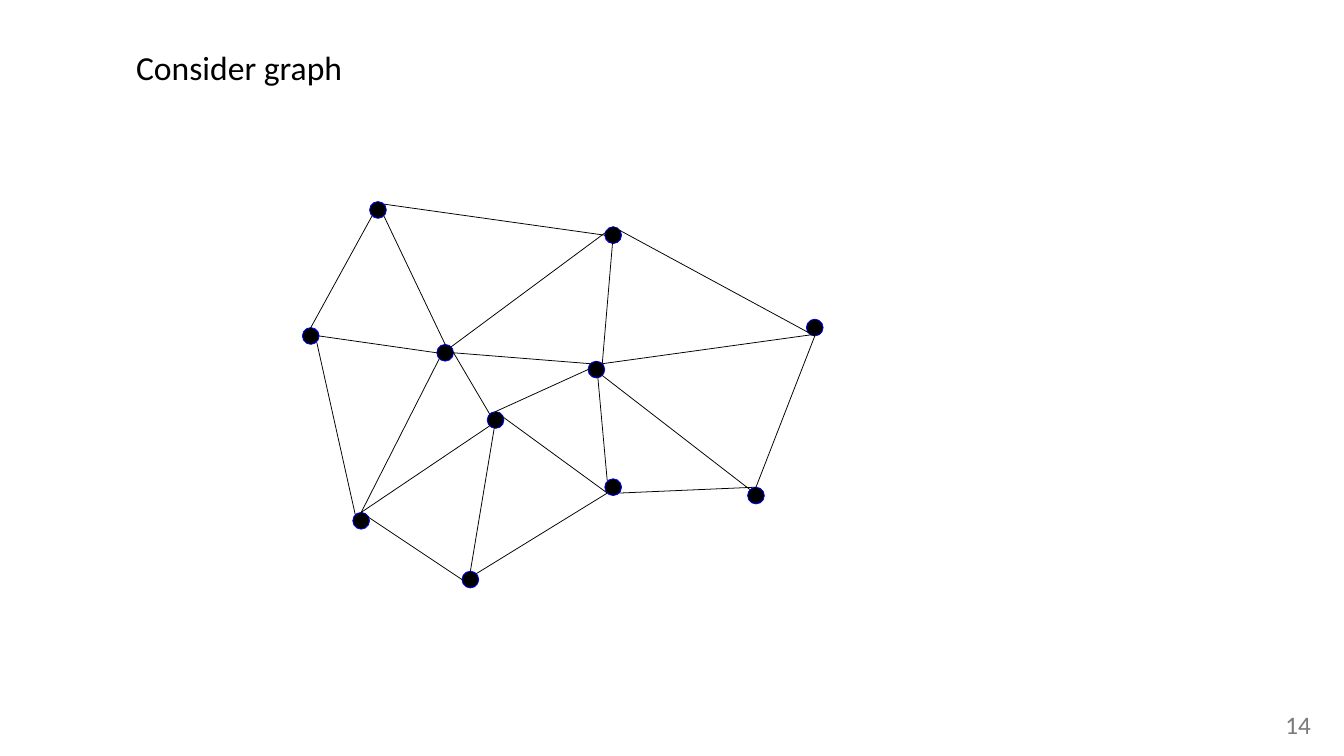
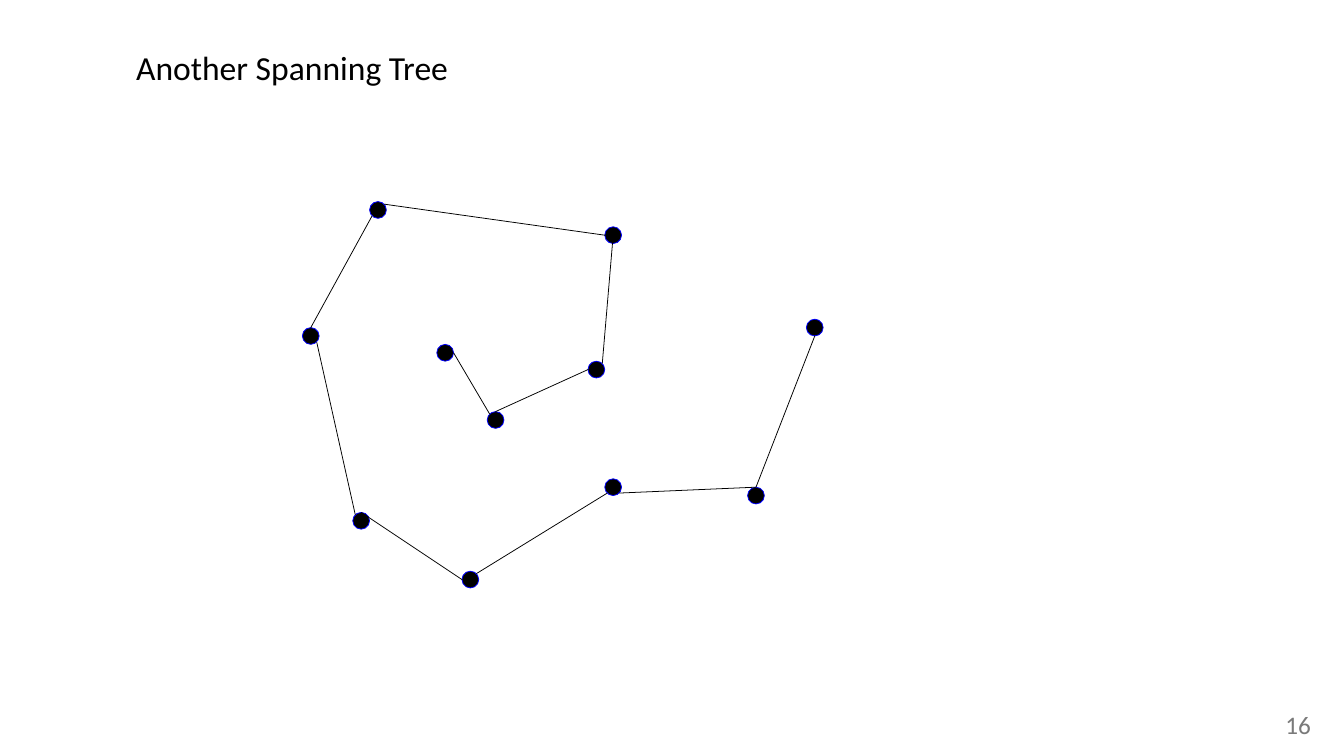
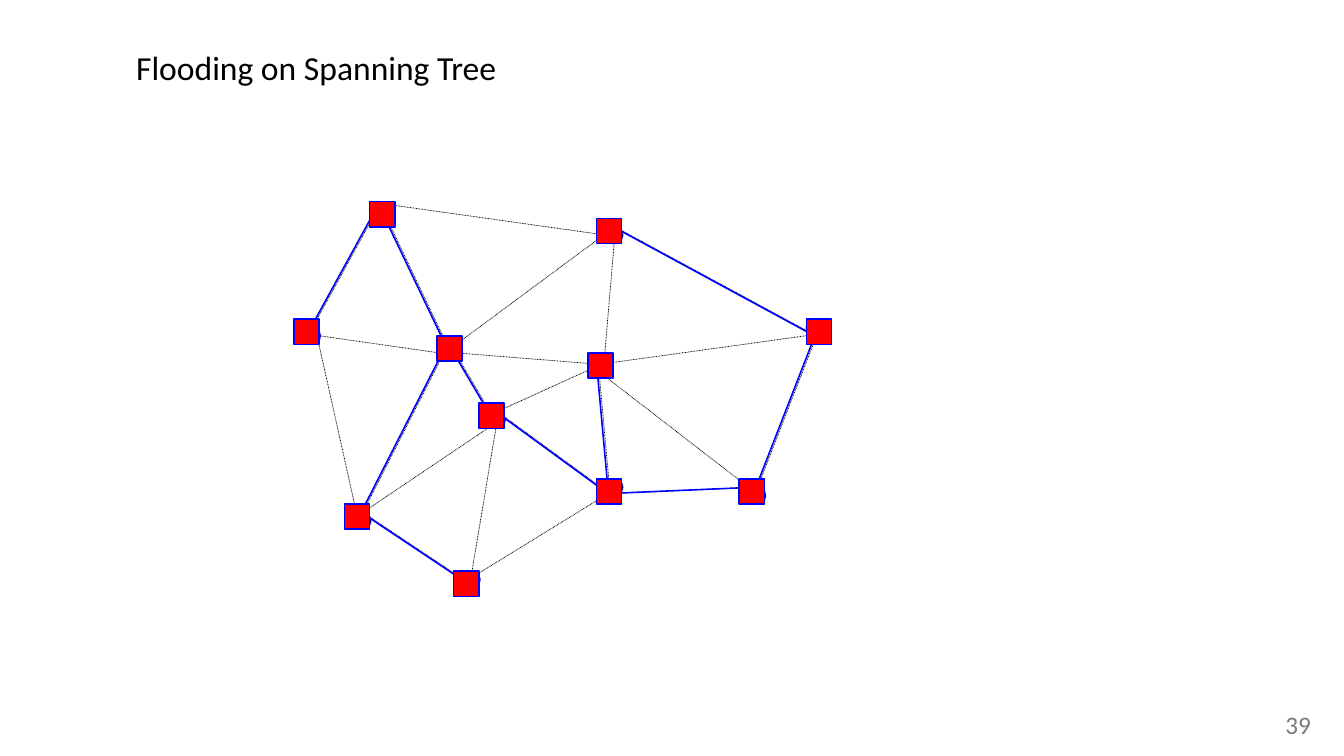
from lxml import etree
from pptx import Presentation
from pptx.dml.color import RGBColor
from pptx.enum.dml import MSO_LINE
from pptx.enum.shapes import MSO_CONNECTOR, MSO_SHAPE
from pptx.enum.text import MSO_ANCHOR, MSO_AUTO_SIZE, PP_ALIGN
from pptx.oxml.ns import qn
from pptx.util import Emu, Pt

PX = 10160  # EMU per px, 90 px to the inch
SLIDE_BOX = (0, 0, 1600, 900)
TITLE_BOX = (157, 0, 1288, 160)
PAGE_NUMBER_BOX = (1525, 845, 41, 45)
GRAPH_ORIGIN = (360, 240)
DOTTED_ORIGIN = (362, 240)

BLACK = RGBColor(0x00, 0x00, 0x00)
BLUE = RGBColor(0x00, 0x00, 0xFF)
RED = RGBColor(0xFF, 0x00, 0x00)
GRAY = RGBColor(0x7A, 0x7A, 0x7A)
FONT = "Calibri"
THIN, THICK = 0.75, 1.5

OVAL, SQUARE = MSO_SHAPE.OVAL, MSO_SHAPE.RECTANGLE
STRAIGHT = MSO_CONNECTOR.STRAIGHT
DOTTED = MSO_LINE.ROUND_DOT
MIDDLE = MSO_ANCHOR.MIDDLE
NO_AUTOFIT = MSO_AUTO_SIZE.NONE
LEFT_ALIGN, CENTER_ALIGN = PP_ALIGN.LEFT, PP_ALIGN.CENTER

# Graph nodes: top left corner relative to the graph's origin
NODE_SIZE = 20
NODES = {
    "A": (80, 0), "B": (0, 150), "C": (360, 30), "D": (360, 330),
    "E": (190, 440), "F": (160, 170), "G": (600, 140), "H": (220, 250),
    "I": (60, 370), "J": (340, 190), "K": (530, 340),
}

# Points of a node where edges end, relative to its corner
CENTER = (10, 10)
TOP, LEFT, BOTTOM, RIGHT = (10, 0), (0, 10), (10, 20), (20, 10)
TOP_LEFT, TOP_RIGHT = (3, 3), (17, 3)
BOTTOM_LEFT, BOTTOM_RIGHT = (3, 17), (17, 17)

EDGES = {
    "AF": (BOTTOM_RIGHT, TOP), "AB": (BOTTOM_LEFT, TOP),
    "BI": (BOTTOM_RIGHT, TOP_LEFT), "FH": (RIGHT, TOP_LEFT),
    "JK": (BOTTOM_RIGHT, TOP_LEFT), "CJ": (CENTER, TOP_RIGHT),
    "CG": (TOP, BOTTOM), "GK": (BOTTOM, TOP),
    "IE": (TOP, LEFT), "HD": (TOP, BOTTOM_LEFT),
    "KD": (TOP, BOTTOM_RIGHT), "JD": (TOP, TOP_LEFT),
    "HE": (CENTER, TOP), "FJ": (RIGHT, TOP_LEFT),
    "BF": (RIGHT, LEFT), "IH": (TOP, BOTTOM_LEFT),
    "ED": (TOP_RIGHT, BOTTOM_LEFT), "IF": (TOP, BOTTOM_LEFT),
    "HJ": (TOP, LEFT), "JG": (TOP_RIGHT, BOTTOM_RIGHT),
    "AC": (TOP_RIGHT, LEFT), "FC": (TOP_RIGHT, TOP),
}
SPANNING_TREE = "AB BI FH CJ GK IE KD ED HJ AC".split()
FLOODING_TREE = "AF AB FH CG GK IE HD KD JD IF".split()

# Flooded markers: shift of each square from its node's corner
MARKER_SIZE = 30
MARKER_SHIFTS = {
    "F": (0, -10), "H": (-10, -10), "I": (-10, -10), "A": (0, 0),
    "B": (-10, -10), "E": (-10, 0), "D": (-10, 0), "K": (-10, -10),
    "J": (0, -10), "G": (0, 0), "C": (-10, -10),
}


def emu(lengths):
    return [Emu(length * PX) for length in lengths]


def shifted(point, shift):
    return point[0] + shift[0], point[1] + shift[1]


def style_line(line, color, width, dash=None):
    line.color.rgb = color
    line.width = Pt(width)
    if dash:
        line.dash_style = dash


def style_text(paragraph, size, color, alignment):
    paragraph.alignment = alignment
    for run in paragraph.runs:
        run.font.name = FONT
        run.font.size = Pt(size)
        run.font.color.rgb = color


def set_margins(frame, margin):
    frame.margin_left = frame.margin_right = Emu(margin * PX)
    frame.margin_top = frame.margin_bottom = Emu(margin * PX)


def add_mark(shapes, kind, corner, size, fill, width, dash=None):
    mark = shapes.add_shape(kind, *emu((*corner, size, size)))
    mark.shadow.inherit = False
    mark.fill.solid()
    mark.fill.fore_color.rgb = fill
    style_line(mark.line, BLUE, width, dash)


def add_edge(shapes, start, end, color, width, dash):
    edge = shapes.add_connector(STRAIGHT, *emu((*start, *end)))
    style_line(edge.line, color, width, dash)
    etree.SubElement(edge._element.spPr, qn("a:effectLst"))


def add_graph(shapes, origin, edges, color=BLACK, width=THIN, dash=None):
    corners = {node: shifted(origin, place) for node, place in NODES.items()}
    for corner in corners.values():
        add_mark(shapes, OVAL, corner, NODE_SIZE, BLACK, width, dash)
    for edge in edges:
        start, end = (shifted(corners[node], site)
                      for node, site in zip(edge, EDGES[edge]))
        add_edge(shapes, start, end, color, width, dash)


def add_markers(shapes, origin):
    for node, shift in MARKER_SHIFTS.items():
        corner = shifted(shifted(origin, NODES[node]), shift)
        add_mark(shapes, SQUARE, corner, MARKER_SIZE, RED, THICK)


def add_page_number(slide, number, box):
    label = slide.shapes.add_textbox(*emu(box))
    frame = label.text_frame
    frame.text = str(number)
    frame.word_wrap = False
    set_margins(frame, 0)
    style_text(frame.paragraphs[0], 24, GRAY, CENTER_ALIGN)


def add_titled_slide(deck, heading, number):
    slide = deck.slides.add_slide(deck.slide_layouts[5])
    title = slide.shapes.title
    title.left, title.top, title.width, title.height = emu(TITLE_BOX)
    frame = title.text_frame
    frame.text = heading
    frame.auto_size = NO_AUTOFIT
    frame.vertical_anchor = MIDDLE
    set_margins(frame, 5)
    style_text(frame.paragraphs[0], 32, BLACK, LEFT_ALIGN)
    add_page_number(slide, number, PAGE_NUMBER_BOX)
    return slide


def main():
    deck = Presentation()
    deck.slide_width, deck.slide_height = emu(SLIDE_BOX[2:])

    # Whole graph
    slide = add_titled_slide(deck, "Consider graph", 14)
    add_graph(slide.shapes.add_group_shape().shapes, GRAPH_ORIGIN, EDGES)

    # Spanning tree alone
    slide = add_titled_slide(deck, "Another Spanning Tree", 16)
    add_graph(slide.shapes, GRAPH_ORIGIN, SPANNING_TREE)

    # Flooded tree over the dotted graph
    slide = add_titled_slide(deck, "Flooding on Spanning Tree", 39)
    add_graph(slide.shapes.add_group_shape().shapes, DOTTED_ORIGIN, EDGES,
              dash=DOTTED)
    add_graph(slide.shapes, GRAPH_ORIGIN, FLOODING_TREE, BLUE, THICK)
    add_markers(slide.shapes, GRAPH_ORIGIN)

    deck.save("out.pptx")


if __name__ == "__main__":
    main()
